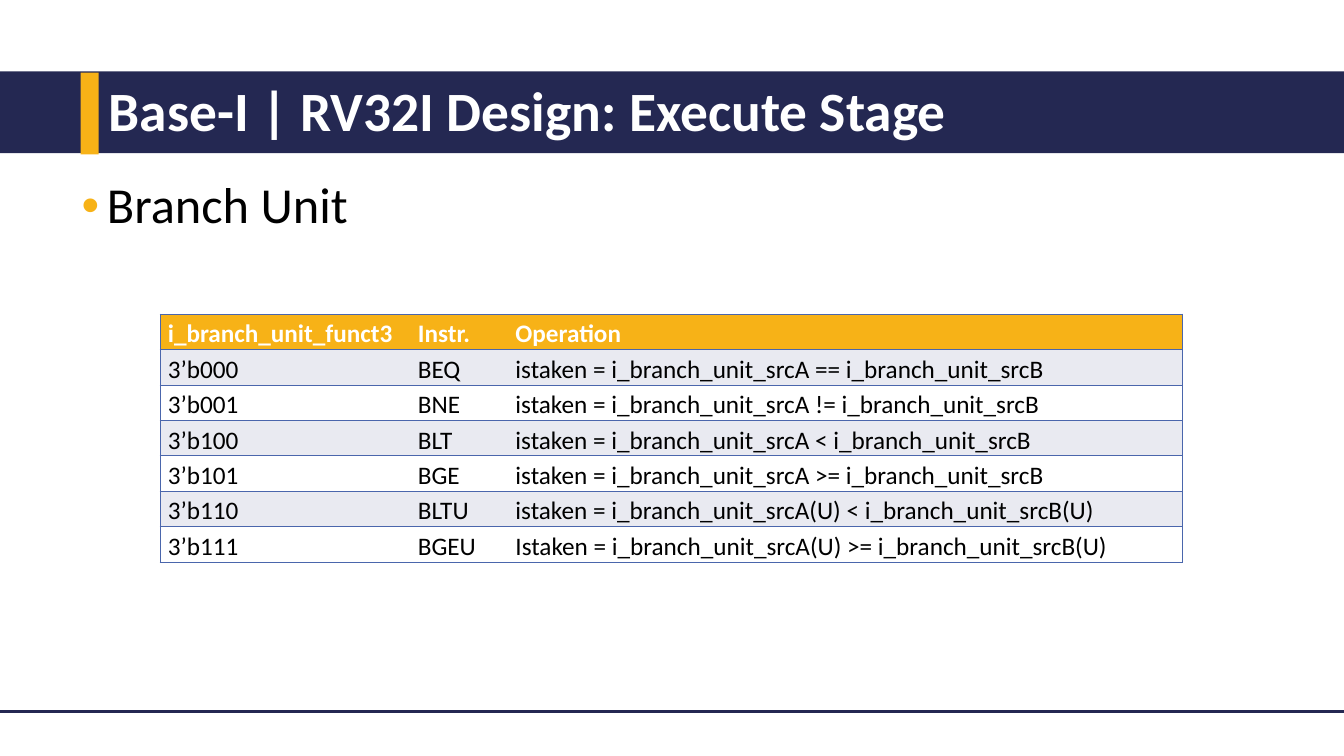
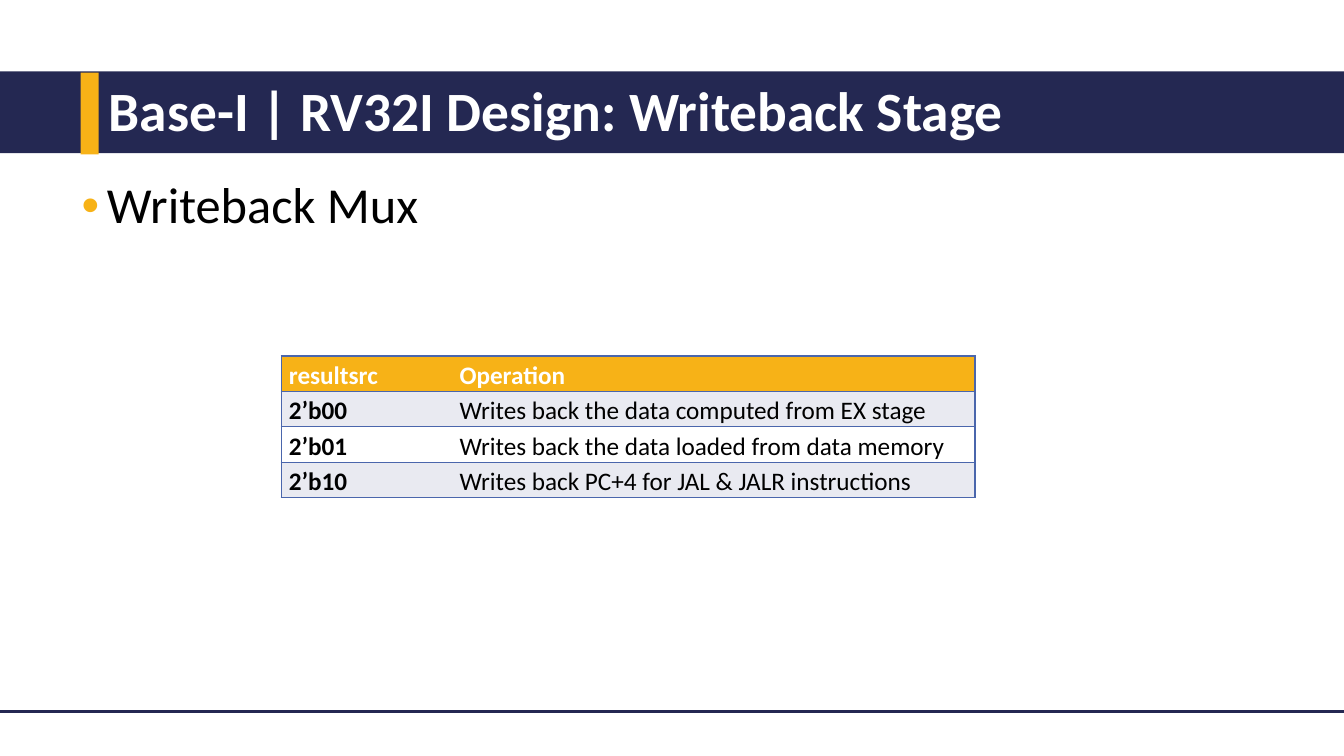
from lxml import etree
from pptx import Presentation
from pptx.dml.color import RGBColor
from pptx.enum.shapes import MSO_CONNECTOR, MSO_SHAPE
from pptx.enum.text import MSO_ANCHOR, MSO_AUTO_SIZE, PP_ALIGN
from pptx.oxml.ns import qn
from pptx.util import Cm, Pt

RECT = MSO_SHAPE.RECTANGLE
LINE = MSO_CONNECTOR.STRAIGHT
LEFT = PP_ALIGN.LEFT
TOP, MID = MSO_ANCHOR.TOP, MSO_ANCHOR.MIDDLE
FIXED = MSO_AUTO_SIZE.NONE

HUES = {"navy": "242852", "gold": "F7B217", "blue": "4A66AC",
        "pale": "E9EAF1", "white": "FFFFFF", "black": "000000"}
FONT = "Calibri"
WIDE, HIGH = 33.87, 19.05
ROW = 0.89

SLIDES = [
    {"title": "Base-I | RV32I Design: Execute Stage",
     "point": "Branch Unit",
     "at": (4.04, 7.92), "cols": (6.3, 2.46, 17), "keys": False,
     "rows": [
         ("i_branch_unit_funct3", "Instr.", "Operation"),
         ("3’b000", "BEQ", "istaken = i_branch_unit_srcA == i_branch_unit_srcB"),
         ("3’b001", "BNE", "istaken = i_branch_unit_srcA != i_branch_unit_srcB"),
         ("3’b100", "BLT", "istaken = i_branch_unit_srcA < i_branch_unit_srcB"),
         ("3’b101", "BGE", "istaken = i_branch_unit_srcA >= i_branch_unit_srcB"),
         ("3’b110", "BLTU", "istaken = i_branch_unit_srcA(U) < i_branch_unit_srcB(U)"),
         ("3’b111", "BGEU", "Istaken = i_branch_unit_srcA(U) >= i_branch_unit_srcB(U)"),
     ]},
    {"title": "Base-I | RV32I Design: Writeback Stage",
     "point": "Writeback Mux",
     "at": (7.09, 8.97), "cols": (4.3, 13.18), "keys": True,
     "rows": [
         ("resultsrc", "Operation"),
         ("2’b00", "Writes back the data computed from EX stage"),
         ("2’b01", "Writes back the data loaded from data memory"),
         ("2’b10", "Writes back PC+4 for JAL & JALR instructions"),
     ]},
]


def rgb(hue):
    return RGBColor.from_string(HUES[hue])


def write(frame, text, size=18, hue="black", bold=False, gap=0.9, dot=None):
    para = frame.paragraphs[0]
    para.alignment = LEFT
    para.line_spacing = gap
    para.space_before = Pt(0)
    if dot:
        props = para._p.get_or_add_pPr()
        props.set("marL", str(Cm(0.64)))
        props.set("indent", str(-Cm(0.64)))
        tint = etree.SubElement(props, qn("a:buClr"))
        etree.SubElement(tint, qn("a:srgbClr"), val=HUES[dot])
        etree.SubElement(props, qn("a:buFont"), typeface="Arial")
        etree.SubElement(props, qn("a:buChar"), char="•")
    run = para.add_run()
    run.text = text
    font = run.font
    font.name, font.size, font.bold = FONT, Pt(size), bold
    font.color.rgb = rgb(hue)


def place(shape, *box):
    shape.left, shape.top, shape.width, shape.height = map(Cm, box)


def block(slide, hue, *box):
    shape = slide.shapes.add_shape(RECT, *map(Cm, box))
    shape.shadow.inherit = False
    shape.fill.solid()
    shape.fill.fore_color.rgb = rgb(hue)
    shape.line.fill.background()
    return shape


def frame_layout(layout, slide):
    for old in list(layout.placeholders)[2:]:
        old.element.getparent().remove(old.element)
    head, body = layout.placeholders
    place(head, 2.49, 2.03, 26.67, 1.65)
    place(body, 1.8, 4.42, 29, 12.4)
    band = block(slide, "navy", 0, 1.8, WIDE, 2.06)
    bar = block(slide, "gold", 2.03, 1.83, 0.46, 2.06)
    rule = slide.shapes.add_connector(LINE, 0, Cm(17.93), Cm(WIDE), Cm(17.93))
    rule.line.color.rgb = rgb("navy")
    rule.line.width = Pt(2.25)
    etree.SubElement(rule.element.spPr, qn("a:effectLst"))
    for spot, part in enumerate((band, bar, rule), 2):
        layout.shapes.element.insert(spot, part.element)


def edge(cell, sides):
    props = cell._tc.get_or_add_tcPr()
    for spot, side in enumerate("LRTB"):
        line = etree.Element(qn("a:ln" + side), w=str(Pt(1)))
        if side in sides:
            fill = etree.SubElement(line, qn("a:solidFill"))
            etree.SubElement(fill, qn("a:srgbClr"), val=HUES["blue"])
        else:
            etree.SubElement(line, qn("a:noFill"))
        props.insert(spot, line)


def add_grid(slide, rows, cols, at, keys):
    size = (sum(cols), ROW * len(rows))
    grid = slide.shapes.add_table(len(rows), len(cols), *map(Cm, at + size)).table
    grid.horz_banding = False
    for col, width in zip(grid.columns, cols):
        col.width = Cm(width)
    for r, row in enumerate(rows):
        grid.rows[r].height = Cm(ROW)
        back = "gold" if r == 0 else ("white", "pale")[r % 2]
        for c, text in enumerate(row):
            cell = grid.cell(r, c)
            cell.margin_left = cell.margin_right = Cm(0.19)
            cell.margin_top = cell.margin_bottom = 0
            cell.fill.solid()
            cell.fill.fore_color.rgb = rgb(back)
            write(cell.text_frame, text, gap=1.15,
                  hue="black" if r else "white",
                  bold=r == 0 or (keys and c == 0))
            edge(cell, "TB" + "L" * (c == 0) + "R" * (c == len(cols) - 1))


def main():
    deck = Presentation()
    deck.slide_width, deck.slide_height = Cm(WIDE), Cm(HIGH)
    layout = deck.slide_layouts[1]
    for page, data in enumerate(SLIDES):
        slide = deck.slides.add_slide(layout)
        if page == 0:
            frame_layout(layout, slide)
        head, body = slide.placeholders
        for box, side in ((head, MID), (body, TOP)):
            box.text_frame.auto_size = FIXED
            box.text_frame.vertical_anchor = side
        write(head.text_frame, data["title"], size=39.6, hue="white", bold=True)
        write(body.text_frame, data["point"], size=36, dot="gold")
        add_grid(slide, data["rows"], data["cols"], data["at"], data["keys"])
    deck.save("out.pptx")


if __name__ == "__main__":
    main()
